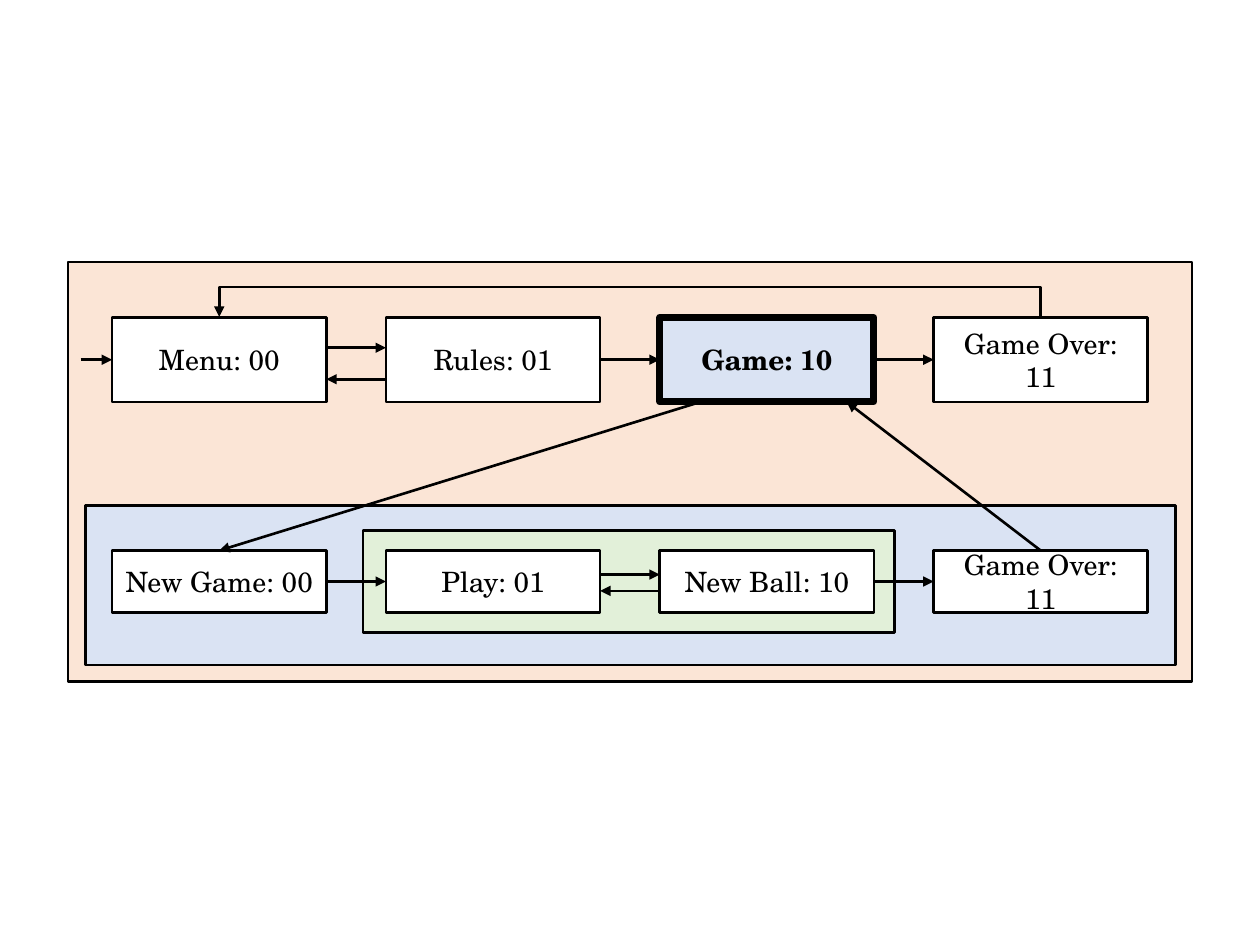
"""Build a slide with a two-level state diagram of a game."""
import pptx
import pptx.dml.color
import pptx.enum.shapes
import pptx.enum.text
import pptx.oxml
import pptx.oxml.ns
import pptx.util

Inches = pptx.util.Inches
Connector = pptx.enum.shapes.MSO_CONNECTOR
BLACK, WHITE, PEACH, BLUE, GREEN = "000000", "FFFFFF", "FBE5D6", "DAE3F3", "E2F0D9"
TOP, LEFT, RIGHT = 0, 1, 3

PANELS = [
    (0.54, 2.08, 8.92, 3.33, PEACH),
    (0.68, 4.01, 8.65, 1.27, BLUE),
    (2.88, 4.21, 4.22, 0.81, GREEN),
]
ROWS = [
    (2.52, 0.67, ["Menu: 00", "Rules: 01", "Game: 10", "Game Over: 11"]),
    (4.37, 0.49, ["New Game: 00", "Play: 01", "New Ball: 10", "Game Over: 11"]),
]
ACTIVE = "Game: 10"
FIRST_LEFT, LAST_LEFT, STATE_WIDTH = 0.89, 7.41, 1.7
LEFTS = [FIRST_LEFT + (LAST_LEFT - FIRST_LEFT) / 3 * column for column in range(4)]

SIDE_LINKS = [(0, 1), (0, 2), (1, 0), (1, 2)]
PAIRED_LINKS = [(0, 0, 2.76, 3.01), (1, 1, 4.56, 4.69)]
RETURN_STEP, RETURN_RISE = 0.01, 0.25


def color(hex_text):
    return pptx.dml.color.RGBColor.from_string(hex_text)


def add_box(slide, left, top, width, height, fill, line_width=1.5):
    shape = slide.shapes.add_shape(
        pptx.enum.shapes.MSO_SHAPE.RECTANGLE, *map(Inches, (left, top, width, height)))
    shape.shadow.inherit = False
    shape.fill.solid()
    shape.fill.fore_color.rgb = color(fill)
    shape.line.color.rgb = color(BLACK)
    shape.line.width = pptx.util.Pt(line_width)
    return shape


def add_state(slide, left, top, height, text):
    active = text == ACTIVE
    shape = add_box(slide, left, top, STATE_WIDTH, height,
                    BLUE if active else WHITE, 4 if active else 1.5)
    frame = shape.text_frame
    frame.word_wrap = True
    frame.vertical_anchor = pptx.enum.text.MSO_ANCHOR.MIDDLE
    paragraph = frame.paragraphs[0]
    paragraph.alignment = pptx.enum.text.PP_ALIGN.CENTER
    run = paragraph.add_run()
    run.text = text
    formats = {"name": "TeX Gyre Schola", "size": pptx.util.Pt(16), "bold": active}
    for name, value in formats.items():
        setattr(run.font, name, value)
    run.font.color.rgb = color(BLACK)
    return shape


def add_arrow(slide, start, end, begin=None, finish=None, kind=Connector.STRAIGHT):
    connector = slide.shapes.add_connector(kind, *map(Inches, (*start, *end)))
    connector.line.color.rgb = color(BLACK)
    connector.line.width = pptx.util.Pt(1.5)
    line = connector.line._get_or_add_ln()
    pptx.oxml.ns.qn("a:ln")
    line.append(pptx.oxml.parse_xml(
        f'<a:tailEnd {pptx.oxml.ns.nsdecls("a")} type="triangle"/>'))
    connector._element.spPr.append(pptx.oxml.parse_xml(
        f'<a:effectLst {pptx.oxml.ns.nsdecls("a")}/>'))
    if begin:
        connector.begin_connect(*begin)
    if finish:
        connector.end_connect(*finish)
    return connector


def add_return_arrow(slide, start_x, end_x, top):
    middle, half = (start_x + end_x) / 2, (start_x - end_x) / 2
    connector = add_arrow(
        slide, (middle - RETURN_STEP / 2, top + half),
        (middle + RETURN_STEP / 2, top - half), kind=Connector.ELBOW)
    properties = connector._element.spPr
    properties.find(pptx.oxml.ns.qn("a:xfrm")).set("rot", str(270 * 60000))
    geometry = properties.find(pptx.oxml.ns.qn("a:prstGeom"))
    for child in list(geometry):
        geometry.remove(child)
    adjustment = round(RETURN_RISE / RETURN_STEP * 100000)
    geometry.append(pptx.oxml.parse_xml(
        f'<a:avLst {pptx.oxml.ns.nsdecls("a")}>'
        f'<a:gd name="adj1" fmla="val {adjustment}"/></a:avLst>'))


def main():
    presentation = pptx.Presentation()
    presentation.slide_width, presentation.slide_height = Inches(10), Inches(7.5)
    slide = presentation.slides.add_slide(presentation.slide_layouts[6])
    for panel in PANELS:
        add_box(slide, *panel)
    states = [[add_state(slide, left, top, height, text)
               for left, text in zip(LEFTS, texts)] for top, height, texts in ROWS]

    for row, column in SIDE_LINKS:
        top, height, _ = ROWS[row]
        middle = top + height / 2
        add_arrow(slide, (LEFTS[column] + STATE_WIDTH, middle), (LEFTS[column + 1], middle),
                  (states[row][column], RIGHT), (states[row][column + 1], LEFT))
    for row, column, forward, back in PAIRED_LINKS:
        near, far = LEFTS[column] + STATE_WIDTH, LEFTS[column + 1]
        add_arrow(slide, (near, forward), (far, forward))
        add_arrow(slide, (far, back), (near, back))

    (upper_top, upper_height, _), (lower_top, _, _) = ROWS
    upper_bottom = upper_top + upper_height
    entry = upper_top + upper_height / 2
    first_middle, last_middle = (left + STATE_WIDTH / 2 for left in (LEFTS[0], LEFTS[-1]))
    add_arrow(slide, (0.64, entry), (LEFTS[0], entry), finish=(states[0][0], LEFT))
    add_arrow(slide, (5.56, upper_bottom), (first_middle, lower_top),
              finish=(states[1][0], TOP))
    add_arrow(slide, (last_middle, lower_top), (6.72, upper_bottom),
              begin=(states[1][3], TOP))
    add_return_arrow(slide, last_middle, first_middle, upper_top)
    presentation.save("out.pptx")


if __name__ == "__main__":
    main()
